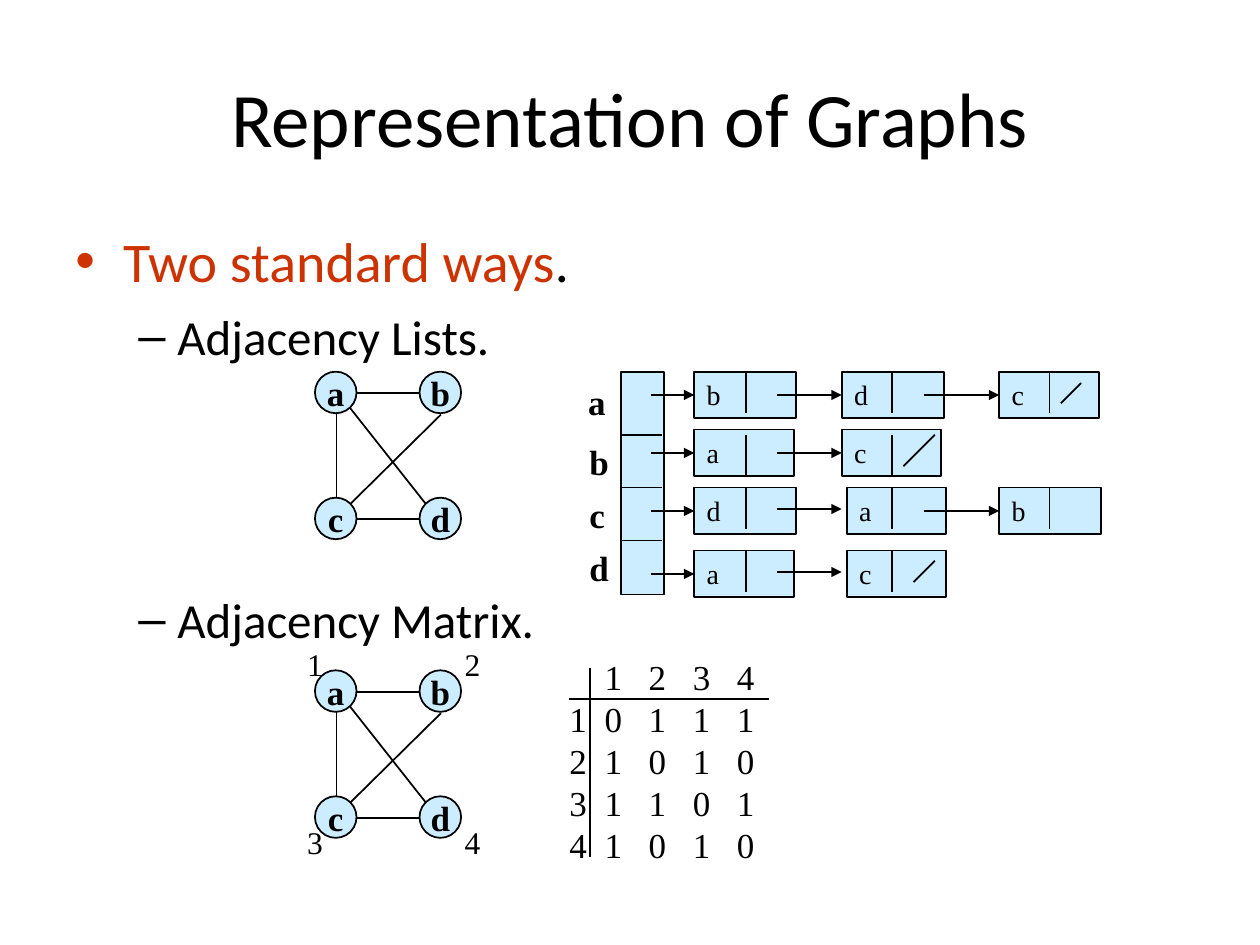
"""Build a slide on two standard ways of representing a graph."""
from lxml import etree
from pptx import Presentation
from pptx import util as u
from pptx.dml.color import RGBColor
from pptx.enum import shapes, text
from pptx.oxml import ns

BLACK = RGBColor(0x00, 0x00, 0x00)
RED = RGBColor(0xCC, 0x33, 0x00)
PALE_BLUE = RGBColor(0xCC, 0xEC, 0xFF)
SERIF = "Times New Roman"

TITLE = "Representation of Graphs"
OUTLINE = [
    {"runs": [("Two standard ways", RED), (".", BLACK)], "size": 32,
     "bullet": "•", "left": 0.38, "hanging": 0.38, "before": 8},
    {"runs": [("Adjacency Lists.", BLACK)], "size": 28,
     "bullet": "–", "left": 0.81, "hanging": 0.31, "before": 7},
    {"runs": [("Adjacency Matrix.", BLACK)], "size": 28,
     "bullet": "–", "left": 0.81, "hanging": 0.31, "before": 128},
]

GRAPH_LEFT, NODE_SIZE = 2.5, 0.33
GRAPH_TOPS = [2.95, 5.32]
NODES = {"a": (0, 0), "b": (0.83, 0), "c": (0, 1), "d": (0.83, 1)}
EDGES = [
    (0.33, 0.17, 0.83, 0.17),
    (1, 0.34, 0.28, 1.05),
    (0.17, 0.33, 0.17, 1),
    (0.28, 0.29, 0.88, 1.05),
    (0.33, 1.17, 0.83, 1.17),
]
NODE_NUMBERS = [("1", 2.34, 5.07), ("2", 3.59, 5.07), ("3", 2.34, 6.48), ("4", 3.59, 6.48)]

HEADS = [("a", 4.57, 2.97), ("b", 4.58, 3.45), ("c", 4.58, 3.87), ("d", 4.58, 4.29)]
HEAD_DIVIDERS = [3.45, 3.87, 4.29]
CHAINS = [
    {"top": 2.95, "divider": 2.95, "arrow": 3.12, "cells": [("b", 5.51), ("d", 6.68), ("c", 7.93)]},
    {"top": 3.41, "divider": 3.45, "arrow": 3.62, "cells": [("a", 5.51), ("c", 6.68)]},
    {"top": 3.87, "divider": 3.87, "arrow": 4.04, "cells": [("d", 5.51), ("a", 6.72), ("b", 7.93)]},
    {"top": 4.37, "divider": 4.37, "arrow": 4.54, "cells": [("a", 5.51), ("c", 6.72)]},
]
ARROW_SPANS = [(5.17, 5.51), (6.17, 6.68), (7.33, 7.93)]
CELL_DIVIDERS = [5.92, 7.08, 8.33]
CELL_WIDTHS = {"a": 0.79, "b": 0.81, "c": 0.79, "d": 0.81}
CELL_HEIGHT = 0.37
END_MARKS = [(8.58, 3.04, 8.42, 3.2), (7.42, 3.45, 7.17, 3.7), (7.42, 4.45, 7.25, 4.62)]

MATRIX = [
    ["", "1", "2", "3", "4"],
    ["1", "0", "1", "1", "1"],
    ["2", "1", "0", "1", "0"],
    ["3", "1", "1", "0", "1"],
    ["4", "1", "0", "1", "0"],
]
MATRIX_TABS = [0.28 + 0.35 * column for column in range(4)]
MATRIX_RULES = [(4.52, 5.55, 6.1, 5.55), (4.68, 5.3, 4.68, 6.8)]


def set_values(target, values):
    for name, value in values.items():
        setattr(target, name, value)


def add_run(paragraph, wording, size, color=BLACK, name=SERIF, **extra):
    run = paragraph.add_run()
    run.text = wording
    set_values(run.font, {"size": u.Pt(size), "name": name, **extra})
    run.font.color.rgb = color


def add_tabs(paragraph, stops):
    tab_list = etree.SubElement(paragraph._p.get_or_add_pPr(), ns.qn("a:tabLst"))
    for stop in stops:
        etree.SubElement(tab_list, ns.qn("a:tab"), pos=str(u.Inches(stop)), algn="l")


def add_bullet(paragraph, item):
    properties = paragraph._p.get_or_add_pPr()
    properties.set("marL", str(u.Inches(item["left"])))
    properties.set("indent", str(-u.Inches(item["hanging"])))
    color = etree.SubElement(properties, ns.qn("a:buClr"))
    etree.SubElement(color, ns.qn("a:srgbClr"), val=str(item["runs"][0][1]))
    etree.SubElement(properties, ns.qn("a:buFont"), typeface="Arial")
    etree.SubElement(properties, ns.qn("a:buChar"), char=item["bullet"])


def add_text(slide, left, top, width, height, **frame_values):
    box = slide.shapes.add_textbox(*map(u.Inches, (left, top, width, height)))
    set_values(box.text_frame, {"word_wrap": True, **frame_values})
    return box.text_frame


def add_label(slide, wording, left, top, size, bold):
    frame = add_text(slide, left, top, 0.33, 0.4 if size < 20 else 0.44,
                     word_wrap=False, auto_size=text.MSO_AUTO_SIZE.SHAPE_TO_FIT_TEXT)
    add_run(frame.paragraphs[0], wording, size, bold=bold)


def add_filled(slide, kind, left, top, width, height):
    shape = slide.shapes.add_shape(kind, *map(u.Inches, (left, top, width, height)))
    shape.shadow.inherit = False
    shape.fill.solid()
    shape.fill.fore_color.rgb = PALE_BLUE
    shape.line.color.rgb = BLACK
    shape.line.width = u.Pt(1)
    return shape


def add_line(slide, x1, y1, x2, y2, arrow=False):
    line = slide.shapes.add_connector(shapes.MSO_CONNECTOR.STRAIGHT,
                                      *map(u.Inches, (x1, y1, x2, y2)))
    line.line.color.rgb = BLACK
    line.line.width = u.Pt(1)
    if arrow:
        etree.SubElement(line.line._get_or_add_ln(), ns.qn("a:tailEnd"), type="triangle")
    etree.SubElement(line._element.spPr, ns.qn("a:effectLst"))
    return line


def add_outline(slide):
    title = add_text(slide, 0.5, 0.3, 9, 1.25, vertical_anchor=text.MSO_ANCHOR.MIDDLE)
    title.paragraphs[0].alignment = text.PP_ALIGN.CENTER
    add_run(title.paragraphs[0], TITLE, 44, name="Calibri")
    body = add_text(slide, 0.5, 1.75, 9, 4.95)
    for index, item in enumerate(OUTLINE):
        paragraph = body.add_paragraph() if index else body.paragraphs[0]
        set_values(paragraph, {"space_before": u.Pt(item["before"]), "level": min(index, 1)})
        add_bullet(paragraph, item)
        for wording, color in item["runs"]:
            add_run(paragraph, wording, item["size"], color, "Calibri")


def add_graph(slide, top):
    for name, (x, y) in NODES.items():
        node = add_filled(slide, shapes.MSO_SHAPE.OVAL, GRAPH_LEFT + x, top + y,
                          NODE_SIZE, NODE_SIZE)
        set_values(node.text_frame, {"word_wrap": False,
                                     "vertical_anchor": text.MSO_ANCHOR.MIDDLE})
        paragraph = node.text_frame.paragraphs[0]
        paragraph.alignment = text.PP_ALIGN.CENTER
        add_run(paragraph, name, 20, bold=True)
    for x1, y1, x2, y2 in EDGES:
        add_line(slide, GRAPH_LEFT + x1, top + y1, GRAPH_LEFT + x2, top + y2)


def add_cell(slide, name, left, top):
    cell = add_filled(slide, shapes.MSO_SHAPE.RECTANGLE, left, top,
                      CELL_WIDTHS[name], CELL_HEIGHT)
    set_values(cell.text_frame, {"word_wrap": True, "margin_right": 0,
                                 "vertical_anchor": text.MSO_ANCHOR.TOP})
    paragraph = cell.text_frame.paragraphs[0]
    paragraph.alignment = text.PP_ALIGN.LEFT
    add_tabs(paragraph, [0.6])
    add_run(paragraph, name, 16)
    add_run(paragraph, "\t", 16, underline=True)
    return cell


def add_lists(slide):
    add_filled(slide, shapes.MSO_SHAPE.RECTANGLE, 4.93, 2.95, 0.34, 1.77)
    for name, left, top in HEADS:
        add_label(slide, name, left, top, 20, True)
    for y in HEAD_DIVIDERS:
        add_line(slide, 4.92, y, 5.25, y)
    for chain in CHAINS:
        columns = zip(chain["cells"], ARROW_SPANS, CELL_DIVIDERS)
        for (name, left), (start, end), divider in columns:
            cell = add_cell(slide, name, left, chain["top"])
            add_line(slide, divider, chain["divider"], divider, chain["divider"] + 0.33)
            joined = left == end
            y = chain["top"] + CELL_HEIGHT / 2 if joined else chain["arrow"]
            arrow = add_line(slide, start, y, end, y, arrow=True)
            if joined:
                arrow.end_connect(cell, 1)
    for mark in END_MARKS:
        add_line(slide, *mark)


def add_matrix(slide):
    for number, left, top in NODE_NUMBERS:
        add_label(slide, number, left, top, 18, False)
    frame = add_text(slide, 4.42, 5.15, 1.75, 1.77)
    for index, row in enumerate(MATRIX):
        paragraph = frame.add_paragraph() if index else frame.paragraphs[0]
        add_tabs(paragraph, MATRIX_TABS)
        add_run(paragraph, "\t".join(row), 20)
    for rule in MATRIX_RULES:
        add_line(slide, *rule)


def main():
    presentation = Presentation()
    set_values(presentation, {"slide_width": u.Inches(10), "slide_height": u.Inches(7.5)})
    slide = presentation.slides.add_slide(presentation.slide_layouts[6])
    add_outline(slide)
    for top in GRAPH_TOPS:
        add_graph(slide, top)
    add_lists(slide)
    add_matrix(slide)
    presentation.save("out.pptx")


if __name__ == "__main__":
    main()
